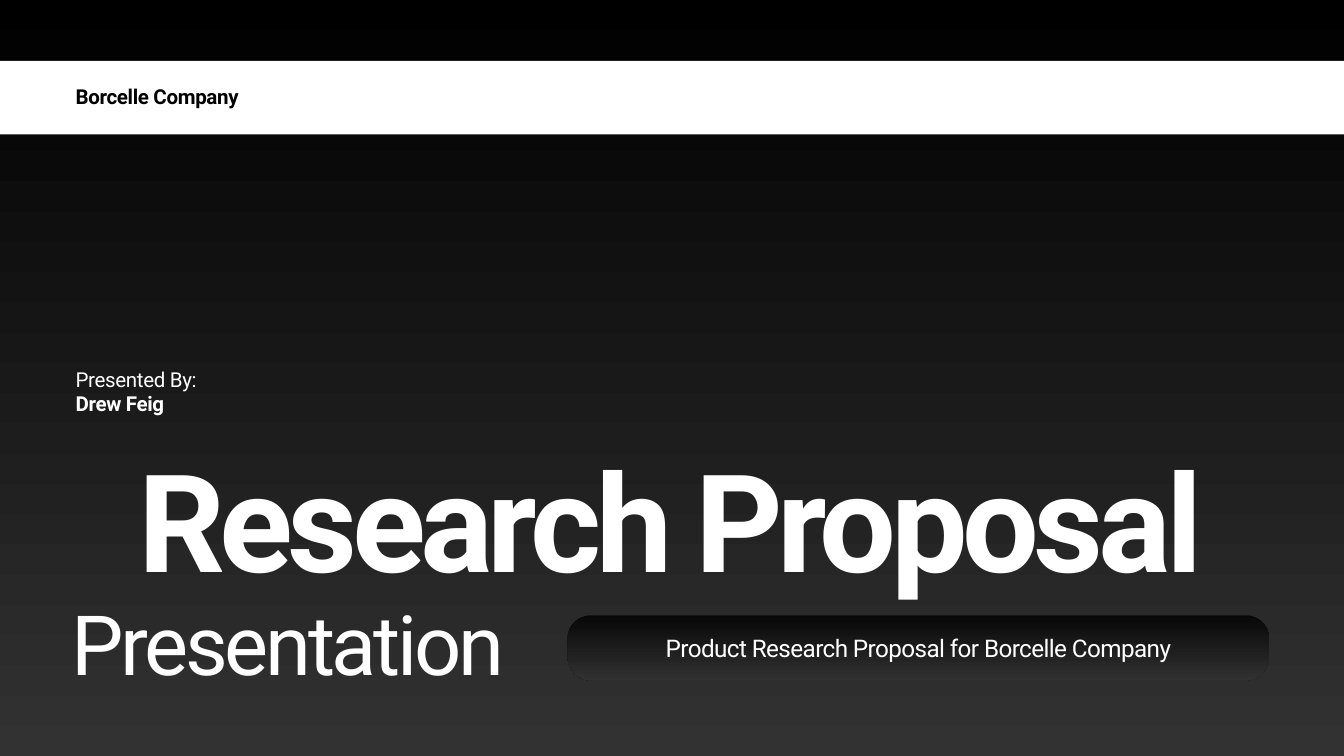
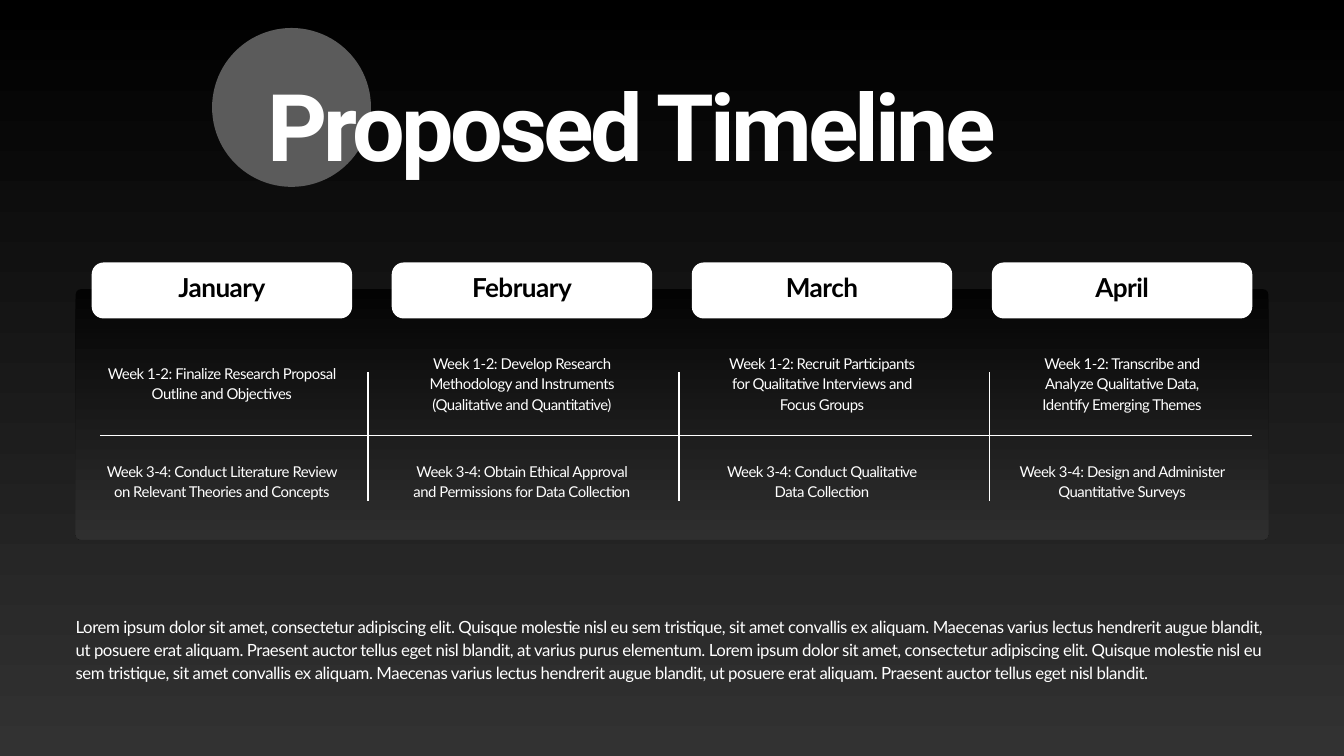
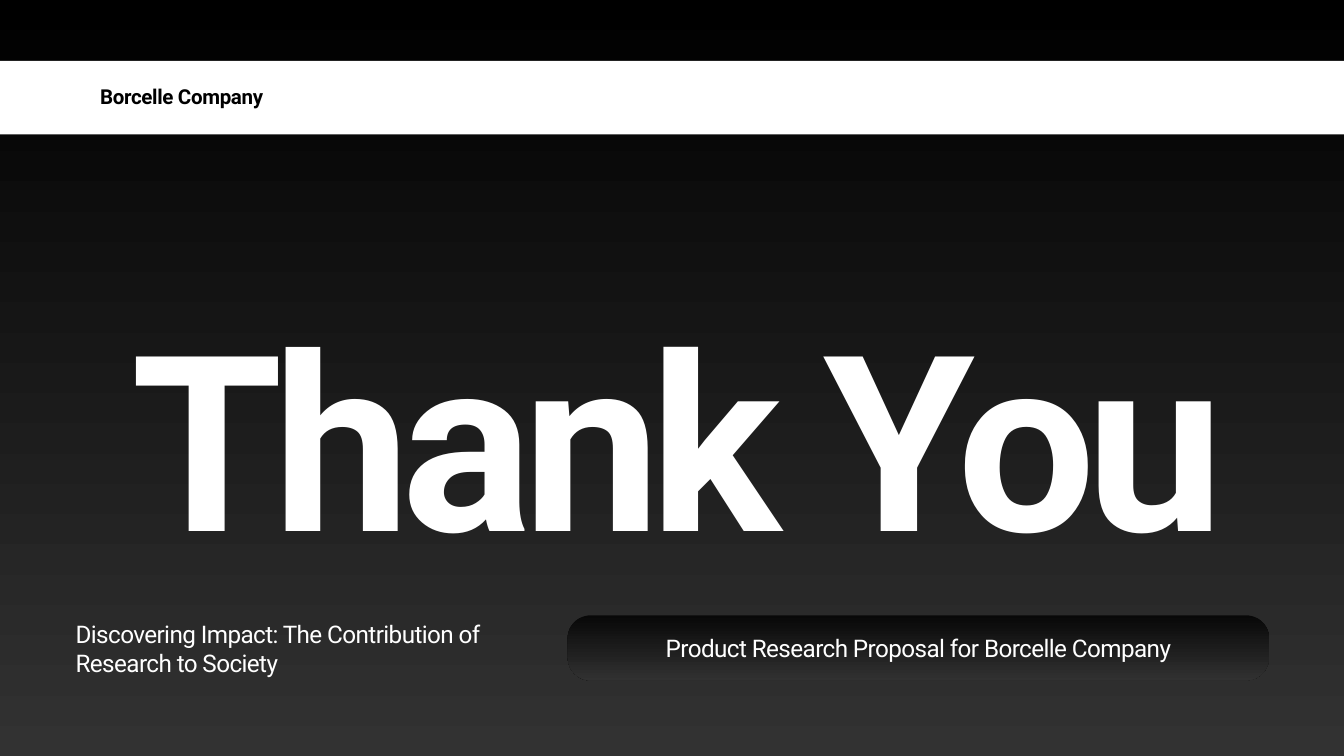
from dataclasses import dataclass

from lxml.etree import SubElement
from pptx import Presentation
from pptx.dml.color import RGBColor
from pptx.enum.shapes import MSO_CONNECTOR, MSO_SHAPE
from pptx.enum.text import MSO_ANCHOR, PP_ALIGN
from pptx.oxml.ns import qn
from pptx.util import Pt

# Content
COMPANY = "Borcelle Company"
SUBJECT = "Product Research Proposal for Borcelle Company"
TITLE, SUBTITLE = "Research Proposal", "Presentation"
PRESENTER_LABEL, PRESENTER = "Presented By:", "Drew Feig"
TIMELINE_TITLE = "Proposed Timeline"
CLOSING = "Thank You"
TAGLINE = "Discovering Impact: The Contribution of Research to Society"

# Month, then for each half of it: text, width in px, number of lines
TIMELINE = [
    ("January", [
        ("Week 1-2: Finalize Research Proposal Outline and Objectives", 336, 2),
        ("Week 3-4: Conduct Literature Review on Relevant Theories and Concepts", 336, 2)]),
    ("February", [
        ("Week 1-2: Develop Research Methodology and Instruments "
         "(Qualitative and Quantitative)", 330, 3),
        ("Week 3-4: Obtain Ethical Approval and Permissions for Data Collection", 330, 2)]),
    ("March", [
        ("Week 1-2: Recruit Participants for Qualitative Interviews and Focus Groups", 290, 3),
        ("Week 3-4: Conduct Qualitative Data Collection", 290, 2)]),
    ("April", [
        ("Week 1-2: Transcribe and Analyze Qualitative Data, Identify Emerging Themes", 262, 3),
        ("Week 3-4: Design and Administer Quantitative Surveys", 324, 2)]),
]
TIMELINE_NOTE = (
    "Lorem ipsum dolor sit amet, consectetur adipiscing elit. Quisque molestie nisl eu sem "
    "tristique, sit amet convallis ex aliquam. Maecenas varius lectus hendrerit augue blandit, "
    "ut posuere erat aliquam. Praesent auctor tellus eget nisl blandit, at varius purus "
    "elementum. Lorem ipsum dolor sit amet, consectetur adipiscing elit. Quisque molestie nisl "
    "eu sem tristique, sit amet convallis ex aliquam. Maecenas varius lectus hendrerit augue "
    "blandit, ut posuere erat aliquam. Praesent auctor tellus eget nisl blandit."
)


@dataclass(frozen=True)
class Type:
    """Size, line height and letter spacing are in points."""
    size: float
    leading: float
    tracking: float
    font: str = "Roboto"
    bold: bool = False


class Theme:
    black = RGBColor.from_string("000000")
    charcoal = RGBColor.from_string("323232")
    grey = RGBColor.from_string("5B5B5B")
    white = RGBColor.from_string("FFFFFF")
    panel_opacity = 80
    rule_weight = Pt(1.5)

    cover = Type(145.8, 131.2, -5.83, bold=True)
    subtitle = Type(89, 80.1, -3.56)
    closing = Type(263, 236.7, -10.52, bold=True)
    heading = Type(100, 90, -4, bold=True)
    lead = Type(26, 31.2, -0.65)
    label = Type(22, 24.2, -0.33)
    strong_label = Type(22, 24.2, -0.33, bold=True)
    month = Type(28, 27.2, -0.56, "Lato", True)
    task = Type(16, 21.9, -0.48, "Lato")
    note = Type(18, 24.5, -0.45, "Lato")


# Layout in px
EMU_PER_PX = 9525
WIDTH, HEIGHT = 1920, 1080
MARGIN = 108
INNER_WIDTH = WIDTH - 2 * MARGIN
BLEED = 30


def px(length):
    return round(length * EMU_PER_PX)


def box(*lengths):
    return [px(length) for length in lengths]


def write(frame, text, style, color, align):
    frame.word_wrap = True
    frame.margin_left = frame.margin_right = frame.margin_top = frame.margin_bottom = 0
    paragraph = frame.paragraphs[0]
    paragraph.text = text
    paragraph.alignment = align
    paragraph.line_spacing = Pt(style.leading)
    font = paragraph.font
    font.name, font.size, font.bold = style.font, Pt(style.size), style.bold
    font.color.rgb = color
    tracking = str(round(style.tracking * 100))
    paragraph._p.pPr.find(qn("a:defRPr")).set("spc", tracking)


def add_text(slide, place, text, style, color=Theme.white, align=PP_ALIGN.LEFT):
    frame = slide.shapes.add_textbox(*box(*place)).text_frame
    write(frame, text, style, color, align)


def add_block(slide, kind, place, color=None, radius=0):
    """Add a borderless shape; without a color its fill is left to the caller."""
    block = slide.shapes.add_shape(kind, *box(*place))
    block.shadow.inherit = False
    block.line.fill.background()
    if radius:
        block.adjustments[0] = radius / min(place[2:])
    if color is not None:
        block.fill.solid()
        block.fill.fore_color.rgb = color
    return block


def fade(fill):
    """Fill from black at the top to charcoal at the bottom."""
    fill.gradient()
    fill.gradient_angle = 270
    for stop, color in zip(fill.gradient_stops, (Theme.black, Theme.charcoal)):
        stop.color.rgb = color


def add_panel(slide, place, radius):
    panel = add_block(slide, MSO_SHAPE.ROUNDED_RECTANGLE, place, radius=radius)
    fade(panel.fill)
    for color in panel._element.spPr.findall(".//" + qn("a:srgbClr")):
        SubElement(color, qn("a:alpha"), val=str(Theme.panel_opacity * 1000))
    return panel


def write_centred(block, text, style, color):
    block.text_frame.vertical_anchor = MSO_ANCHOR.MIDDLE
    write(block.text_frame, text, style, color, PP_ALIGN.CENTER)


def draw_line(line):
    line.color.rgb = Theme.white
    line.width = Theme.rule_weight


def add_rule(slide, *ends):
    rule = slide.shapes.add_connector(MSO_CONNECTOR.STRAIGHT, *box(*ends))
    draw_line(rule.line)
    SubElement(rule._element.spPr, qn("a:effectLst"))


def add_slide(deck):
    slide = deck.slides.add_slide(deck.slide_layouts[6])
    fade(slide.background.fill)
    return slide


def add_company_band(slide, company_left):
    add_block(slide, MSO_SHAPE.RECTANGLE, (-BLEED, 87, WIDTH + 2 * BLEED, 105), Theme.white)
    add_text(slide, (company_left, 123, 371, 33), COMPANY, Theme.strong_label, Theme.black)


def add_subject_pill(slide):
    pill = add_panel(slide, (811, 879, 1002, 93), 33)
    write_centred(pill, SUBJECT, Theme.lead, Theme.white)


def build_cover(slide):
    add_company_band(slide, MARGIN)
    add_text(slide, (67, 682, 1781, 190), TITLE, Theme.cover, align=PP_ALIGN.CENTER)
    add_text(slide, (102, 882, 1556, 115), SUBTITLE, Theme.subtitle)
    add_subject_pill(slide)
    add_text(slide, (MARGIN, 527, 589, 33), PRESENTER_LABEL, Theme.label)
    add_text(slide, (MARGIN, 562, 589, 33), PRESENTER, Theme.strong_label)


def build_timeline(slide):
    first_left, last_right, card_width = 132, 1788, 370
    pitch = (last_right - first_left - card_width) / (len(TIMELINE) - 1)
    half_middles = (546, 686)
    line_height = 29
    divider_left, divider_pitch = 526, 444

    add_block(slide, MSO_SHAPE.OVAL, (303, 40, 227, 227), Theme.grey)
    add_text(slide, (382, 138, 1234, 129), TIMELINE_TITLE, Theme.heading)
    add_panel(slide, (MARGIN, 413, INNER_WIDTH, 358), 8)

    for column, (month, tasks) in enumerate(TIMELINE):
        left = first_left + column * pitch
        card = add_block(slide, MSO_SHAPE.ROUNDED_RECTANGLE,
                         (left, 376, card_width, 78), Theme.white, 16)
        draw_line(card.line)
        write_centred(card, month, Theme.month, Theme.black)
        for middle, (task, width, lines) in zip(half_middles, tasks):
            height = lines * line_height
            place = (left + (card_width - width) / 2, middle - height / 2, width, height)
            add_text(slide, place, task, Theme.task, align=PP_ALIGN.CENTER)

    add_rule(slide, 143, 622, last_right, 622)
    for gap in range(len(TIMELINE) - 1):
        x = divider_left + gap * divider_pitch
        add_rule(slide, x, 716, x, 531)
    add_text(slide, (MARGIN, 877, INNER_WIDTH, 95), TIMELINE_NOTE, Theme.note)


def build_closing(slide):
    add_company_band(slide, 143)
    add_text(slide, (36, 514, 1865, 341), CLOSING, Theme.closing, align=PP_ALIGN.CENTER)
    add_subject_pill(slide)
    add_text(slide, (MARGIN, 885, 655, 82), TAGLINE, Theme.lead)


def main():
    deck = Presentation()
    deck.slide_width, deck.slide_height = box(WIDTH, HEIGHT)
    for build in (build_cover, build_timeline, build_closing):
        build(add_slide(deck))
    deck.save("out.pptx")


if __name__ == "__main__":
    main()
